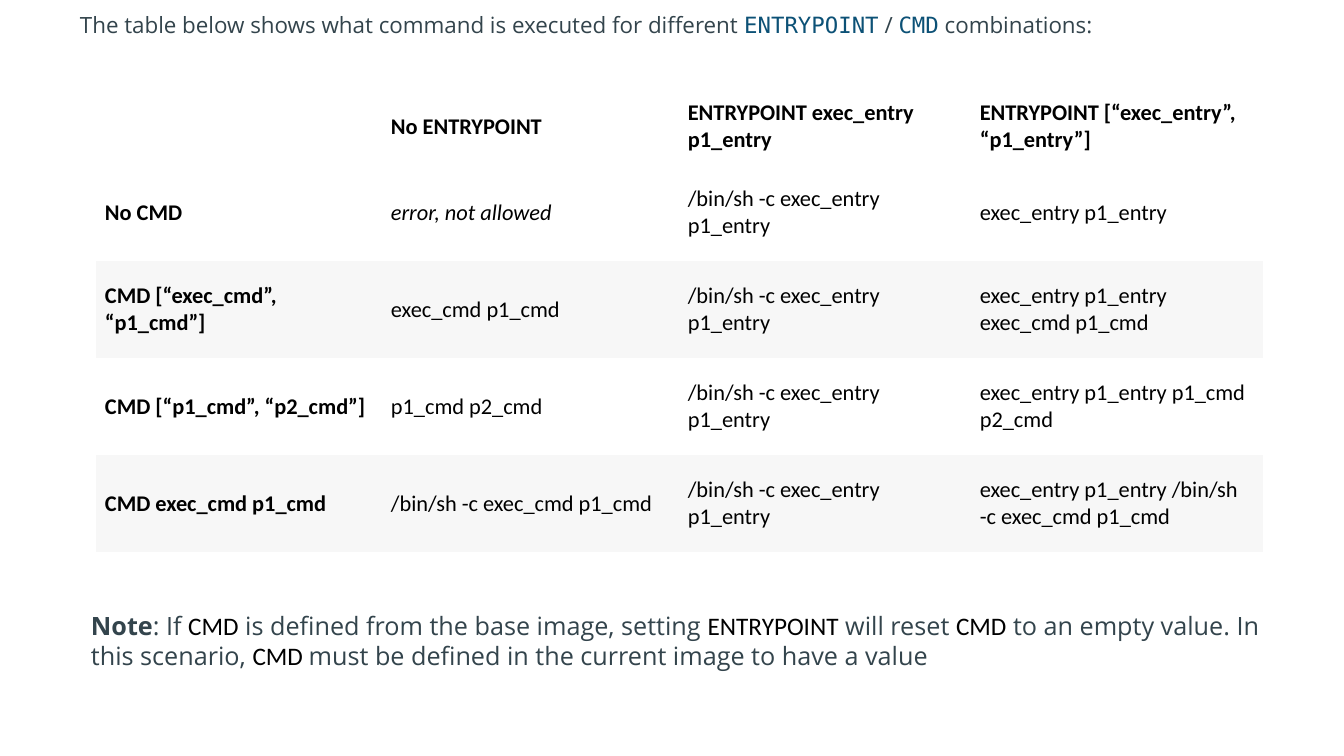
from dataclasses import dataclass

from lxml.etree import SubElement
from pptx import Presentation
from pptx.dml.color import RGBColor
from pptx.enum.text import MSO_ANCHOR
from pptx.oxml.ns import qn
from pptx.util import Pt


@dataclass(frozen=True)
class Theme:
    body_font: str = "Open Sans"
    code_font: str = "DejaVu Sans Mono"
    table_font: str = "Calibri"
    body: str = "33444C"
    code: str = "0C5176"
    black: str = "000000"
    band: str = "F7F7F7"
    text_size: int = 16
    note_size: int = 18


THEME = Theme()

# Run styles: font and colour
BODY = (THEME.body_font, THEME.body)
CODE = (THEME.code_font, THEME.code)
PLAIN = (THEME.table_font, THEME.black)

INTRO = [
    ("The table below shows what command is executed for different\u00a0", BODY),
    ("ENTRYPOINT", CODE),
    ("\u00a0/\u00a0", BODY),
    ("CMD", CODE),
    ("\u00a0combinations:", BODY),
]

SHELL_ENTRY = "/bin/sh -c exec_entry p1_entry"
COMBINATIONS = [
    ["", "No ENTRYPOINT", "ENTRYPOINT exec_entry p1_entry",
     "ENTRYPOINT [“exec_entry”, “p1_entry”]"],
    ["No CMD", "error, not allowed", SHELL_ENTRY, "exec_entry p1_entry"],
    ["CMD [“exec_cmd”, “p1_cmd”]", "exec_cmd p1_cmd", SHELL_ENTRY,
     "exec_entry p1_entry exec_cmd p1_cmd"],
    ["CMD [“p1_cmd”, “p2_cmd”]", "p1_cmd p2_cmd", SHELL_ENTRY,
     "exec_entry p1_entry p1_cmd p2_cmd"],
    ["CMD exec_cmd p1_cmd", "/bin/sh -c exec_cmd p1_cmd", SHELL_ENTRY,
     "exec_entry p1_entry /bin/sh -c exec_cmd p1_cmd"],
]
COLUMN_WIDTHS = [286, 297, 292, 292]
ROW_HEIGHTS = [75, 97, 97, 97, 97]

NOTE = [
    (": If\u00a0", BODY),
    ("CMD", PLAIN),
    ("\u00a0is defined from the base image, setting\u00a0", BODY),
    ("ENTRYPOINT", PLAIN),
    ("\u00a0will reset\u00a0", BODY),
    ("CMD", PLAIN),
    ("\u00a0to an empty value. In this scenario,\u00a0", BODY),
    ("CMD ", PLAIN),
    ("must be defined in the current image to have a value", BODY),
]


def px(pixels):
    return round(pixels * 914400 / 100.8)


def add_run(paragraph, text, style, size, bold=False, italic=False):
    run = paragraph.add_run()
    run.text = text
    font = run.font
    font.name, colour = style
    font.color.rgb = RGBColor.from_string(colour)
    font.size = Pt(size)
    font.bold = bold
    font.italic = italic


def set_margins(area, side, vertical):
    area.margin_left = area.margin_right = px(side)
    area.margin_top = area.margin_bottom = px(vertical)


def add_text_box(slide, left, top, width, height, side, vertical, anchor):
    frame = slide.shapes.add_textbox(
        px(left), px(top), px(width), px(height)).text_frame
    frame.word_wrap = True
    frame.vertical_anchor = anchor
    set_margins(frame, side, vertical)
    return frame.paragraphs[0]


def clear_borders(cell):
    properties = cell._tc.get_or_add_tcPr()
    for side in ("a:lnL", "a:lnR", "a:lnT", "a:lnB"):
        SubElement(SubElement(properties, qn(side)), qn("a:noFill"))


def fill_cell(cell, text, row, column):
    is_header = row == 0 or column == 0
    set_margins(cell, 9, 6 if row == 0 else 9)
    cell.vertical_anchor = MSO_ANCHOR.MIDDLE
    clear_borders(cell)
    # Every second row below the header is shaded
    if row and row % 2 == 0:
        cell.fill.solid()
        cell.fill.fore_color.rgb = RGBColor.from_string(THEME.band)
    else:
        cell.fill.background()
    if text:
        add_run(cell.text_frame.paragraphs[0], text, PLAIN, THEME.text_size,
                bold=is_header, italic=text.startswith("error"))


def add_combinations(slide, left, top):
    table = slide.shapes.add_table(
        len(ROW_HEIGHTS), len(COLUMN_WIDTHS), px(left), px(top),
        px(sum(COLUMN_WIDTHS)), px(sum(ROW_HEIGHTS))).table
    table.first_row = table.horz_banding = False
    for column, width in zip(table.columns, COLUMN_WIDTHS):
        column.width = px(width)
    for row, height in zip(table.rows, ROW_HEIGHTS):
        row.height = px(height)
    for row, texts in enumerate(COMBINATIONS):
        for column, text in enumerate(texts):
            fill_cell(table.cell(row, column), text, row, column)


def main():
    presentation = Presentation()
    presentation.slide_width = px(1344)
    presentation.slide_height = px(756)
    slide = presentation.slides.add_slide(presentation.slide_layouts[6])

    # Introduction
    intro = add_text_box(slide, 80, 2, 1183, 46, 0, 9, MSO_ANCHOR.MIDDLE)
    for text, style in INTRO:
        add_run(intro, text, style, THEME.text_size)

    # Combinations of ENTRYPOINT and CMD
    add_combinations(slide, 96, 89)

    # Note
    note = add_text_box(slide, 81, 605, 1210, 72, 10, 5, MSO_ANCHOR.TOP)
    add_run(note, "Note", BODY, THEME.note_size, bold=True)
    for text, style in NOTE:
        add_run(note, text, style, THEME.note_size)

    presentation.save("out.pptx")


main()
